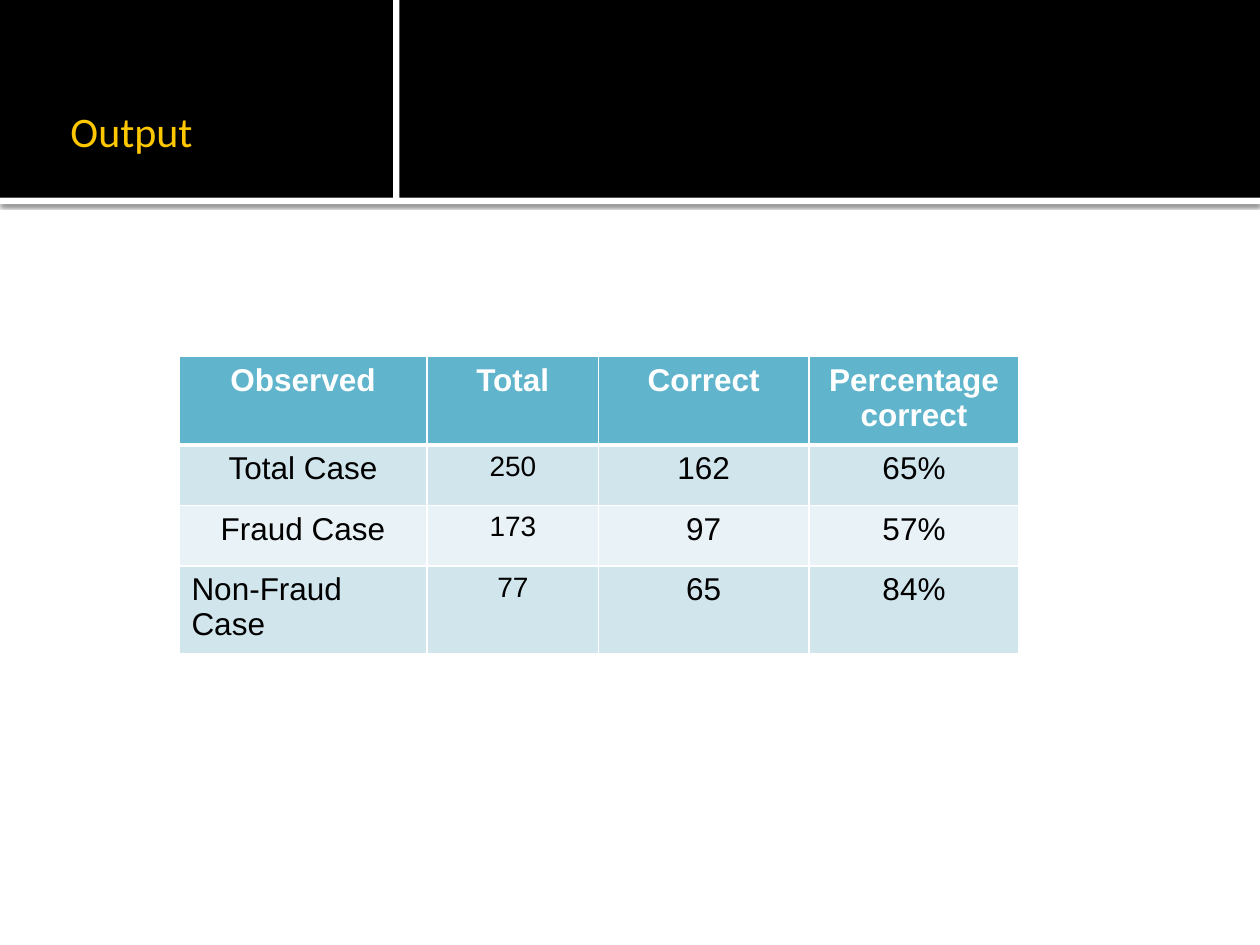
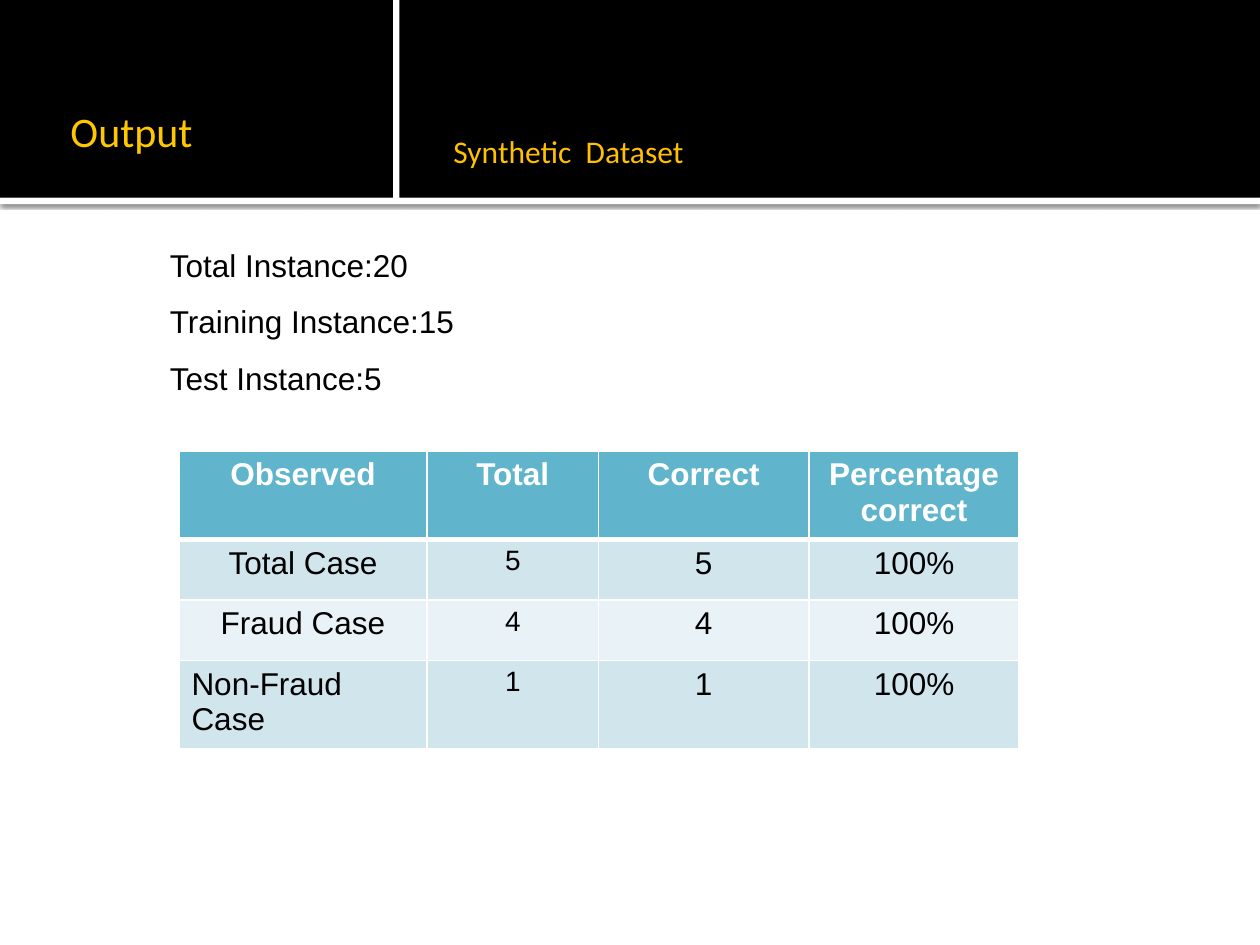
from dataclasses import dataclass

from lxml.etree import SubElement
from pptx import Presentation
from pptx.dml.color import RGBColor
from pptx.enum.shapes import MSO_SHAPE as Shape
from pptx.enum.text import MSO_ANCHOR as Anchor, PP_ALIGN as Align
from pptx.oxml.ns import qn
from pptx.util import Inches, Pt

HEADER = ["Observed", "Total", "Correct", "Percentage\ncorrect"]
SLIDES = [
    {
        "title": "Output",
        "subtitle": None,
        "facts": [],
        "table_top": 2.83,
        "results": [
            ("Total Case", "250", "162", "65%"),
            ("Fraud Case", "173", "97", "57%"),
            ("Non-Fraud Case", "77", "65", "84%"),
        ],
    },
    {
        "title": "Output",
        "subtitle": "Synthetic  Dataset",
        "facts": ["Total Instance:20", "Training Instance:15", "Test Instance:5"],
        "table_top": 3.58,
        "results": [
            ("Total Case", "5", "5", "100%"),
            ("Fraud Case", "4", "4", "100%"),
            ("Non-Fraud Case", "1", "1", "100%"),
        ],
    },
]
COLUMN_WIDTHS = [1.97, 1.36, 1.67, 1.67]
ROW_HEIGHTS = [0.65, 0.48, 0.48, 0.65]
TABLE_LEFT = 1.42


@dataclass(frozen=True)
class Theme:
    black: str = "000000"
    white: str = "FFFFFF"
    title: str = "FFC700"
    subtitle: str = "FFC000"
    header: str = "60B5CC"
    stripes: tuple = ("D1E5EC", "E9F2F6")
    head_font: str = "Calibri"
    body_font: str = "Arial"
    title_size: int = 24
    body_size: int = 18
    total_size: int = 16
    grid: int = 1
    header_rule: int = 3


THEME = Theme()


def add_run(para, text, size, color, font=THEME.body_font, bold=False):
    span = para.add_run()
    span.text = text
    span.font.name = font
    span.font.size = Pt(size)
    span.font.bold = bold
    span.font.color.rgb = RGBColor.from_string(color)


def add_lines(frame, lines, size, color, align=Align.LEFT, spacing=None, **style):
    for index, line in enumerate(lines):
        para = frame.add_paragraph() if index else frame.paragraphs[0]
        para.alignment = align
        para.line_spacing = spacing
        add_run(para, line, size, color, **style)


def add_text(page, place, lines, size, color, insets=(0.1, 0.05, 0.1, 0.05),
             anchor=Anchor.TOP, **style):
    box = page.shapes.add_textbox(*map(Inches, place))
    frame = box.text_frame
    frame.word_wrap = True
    frame.vertical_anchor = anchor
    (frame.margin_left, frame.margin_top,
     frame.margin_right, frame.margin_bottom) = map(Inches, insets)
    add_lines(frame, lines, size, color, **style)


def add_band(page, place, color):
    band = page.shapes.add_shape(Shape.RECTANGLE, *map(Inches, place))
    band.shadow.inherit = False
    band.fill.solid()
    band.fill.fore_color.rgb = RGBColor.from_string(color)
    band.line.fill.background()
    return band


def add_shadow(band):
    effects = band.element.spPr.find(qn("a:effectLst"))
    shadow = SubElement(effects, qn("a:outerShdw"), blurRad=str(Pt(2.5)),
                        dist=str(Pt(0.8)), dir="5400000", algn="t", rotWithShape="0")
    color = SubElement(shadow, qn("a:srgbClr"), val=THEME.black)
    SubElement(color, qn("a:alpha"), val="60000")


def add_frame(page, title):
    add_shadow(add_band(page, (0, 1.57, 10, 0.05), THEME.white))
    add_band(page, (0, 0, 10, 1.57), THEME.black)
    add_band(page, (3.12, 0, 0.05, 1.59), THEME.white)
    add_text(page, (0.18, 0.17, 2.76, 1.07), [title], THEME.title_size, THEME.title,
             insets=(0.38, 0.05, 0.05, 0), anchor=Anchor.BOTTOM, font=THEME.head_font)


def set_borders(cell, top, bottom):
    properties = cell._tc.get_or_add_tcPr()
    widths = {"lnL": THEME.grid, "lnR": THEME.grid, "lnT": top, "lnB": bottom}
    for side, width in widths.items():
        line = SubElement(properties, qn(f"a:{side}"), w=str(Pt(width)))
        fill = SubElement(line, qn("a:solidFill"))
        SubElement(fill, qn("a:srgbClr"), val=THEME.white)


def fill_cell(cell, text, row, column):
    heading = row == 0
    set_borders(cell,
                THEME.header_rule if row == 1 else THEME.grid,
                THEME.header_rule if heading else THEME.grid)
    cell.fill.solid()
    cell.fill.fore_color.rgb = RGBColor.from_string(
        THEME.header if heading else THEME.stripes[(row - 1) % 2])
    is_total = column == 1 and not heading
    add_lines(cell.text_frame, text.split("\n"),
              THEME.total_size if is_total else THEME.body_size,
              THEME.white if heading else THEME.black,
              align=Align.LEFT if text == "Non-Fraud Case" else Align.CENTER,
              bold=heading)


def add_results(page, top, results):
    rows = [HEADER, *results]
    place = (TABLE_LEFT, top, sum(COLUMN_WIDTHS), sum(ROW_HEIGHTS))
    table = page.shapes.add_table(len(rows), len(HEADER), *map(Inches, place)).table
    for column, width in zip(table.columns, COLUMN_WIDTHS):
        column.width = Inches(width)
    for row, height in zip(table.rows, ROW_HEIGHTS):
        row.height = Inches(height)
    for row, texts in enumerate(rows):
        for column, text in enumerate(texts):
            fill_cell(table.cell(row, column), text, row, column)


def main():
    deck = Presentation()
    deck.slide_width, deck.slide_height = Inches(10), Inches(7.5)
    for content in SLIDES:
        page = deck.slides.add_slide(deck.slide_layouts[6])
        add_frame(page, content["title"])
        add_results(page, content["table_top"], content["results"])
        if content["subtitle"]:
            add_text(page, (3.5, 1, 2.12, 0.4), [content["subtitle"]],
                     THEME.body_size, THEME.subtitle, font=THEME.head_font)
        if content["facts"]:
            add_text(page, (1.25, 1.75, 3.25, 1.77), content["facts"],
                     THEME.body_size, THEME.black, spacing=1.5)
    deck.save("out.pptx")


if __name__ == "__main__":
    main()
